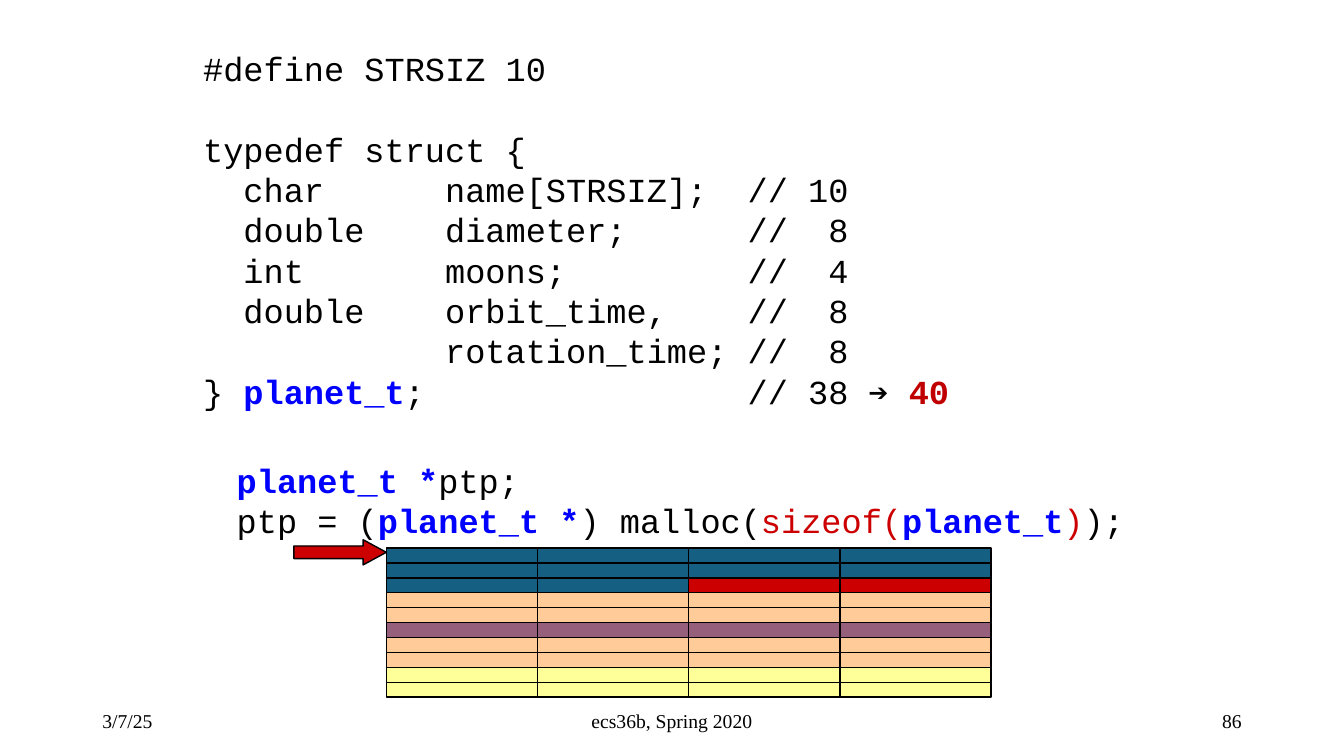
from pptx import Presentation
from pptx.dml.color import RGBColor
from pptx.enum.shapes import MSO_SHAPE
from pptx.enum.text import MSO_ANCHOR, PP_ALIGN
from pptx.util import Pt

PX = 9525
RECT, ARROW = MSO_SHAPE.RECTANGLE, MSO_SHAPE.RIGHT_ARROW
TOP, MIDDLE = MSO_ANCHOR.TOP, MSO_ANCHOR.MIDDLE
LEFT, CENTER, RIGHT = PP_ALIGN.LEFT, PP_ALIGN.CENTER, PP_ALIGN.RIGHT

BLACK = RGBColor(0x00, 0x00, 0x00)
BLUE = RGBColor(0x00, 0x00, 0xFF)
CRIMSON = RGBColor(0xC0, 0x00, 0x00)
RED = RGBColor(0xCC, 0x00, 0x00)
TEAL = RGBColor(0x15, 0x60, 0x82)
PEACH = RGBColor(0xFF, 0xCC, 0x99)
PLUM = RGBColor(0x96, 0x60, 0x7D)
YELLOW = RGBColor(0xFF, 0xFF, 0x99)

STRUCT = [
    ["#define STRSIZ 10"],
    ["typedef struct {"],
    ["  char      name[STRSIZ];  // 10"],
    ["  double    diameter;      //  8"],
    ["  int       moons;         //  4"],
    ["  double    orbit_time,    //  8"],
    ["            rotation_time; //  8"],
    ["} ", ("planet_t", BLUE, True), ";                // 38 ➔ ",
     ("40", CRIMSON, True)],
]
ALLOC = [
    [("planet_t *", BLUE, True), "ptp;"],
    ["ptp = (", ("planet_t *", BLUE, True), ") malloc(",
     ("sizeof(", RED, False), ("planet_t", BLUE, True),
     (")", RED, False), ");"],
]
FIELDS = [(TEAL, 10), (RED, 2), (PEACH, 8), (PLUM, 4), (PEACH, 8), (YELLOW, 8)]
COLS = 4


def add_text(slide, box, lines, font, size, wrap=True, anchor=TOP, align=LEFT):
    frame = slide.shapes.add_textbox(*[n * PX for n in box]).text_frame
    frame.word_wrap = wrap
    frame.vertical_anchor = anchor
    for i, line in enumerate(lines):
        para = frame.paragraphs[0] if i == 0 else frame.add_paragraph()
        para.alignment = align
        para.font.name = font
        para.font.size = Pt(size)
        for part in line:
            text, color, bold = (part, BLACK, False) if isinstance(part, str) else part
            run = para.add_run()
            run.text = text
            run.font.color.rgb = color
            run.font.bold = bold
    return frame


def add_block(slide, kind, box, color):
    shape = slide.shapes.add_shape(kind, *box)
    shape.shadow.inherit = False
    shape.fill.solid()
    shape.fill.fore_color.rgb = color
    shape.line.color.rgb = BLACK
    shape.line.width = Pt(1)
    return shape


def add_code(slide, box):
    left, top, width, height = box
    code = add_text(slide, (left, top, width, 397), STRUCT, "Courier New", 24)
    code.paragraphs[1].space_before = Pt(28.8)
    add_text(slide, (left + 32, top + 392, 871, height - 392), ALLOC,
             "Courier New", 24, wrap=False)


def add_memory(slide, box):
    left, top, width, height = [n * PX for n in box]
    cells = [color for color, count in FIELDS for _ in range(count)]
    wide, high = width // COLS, height * COLS // len(cells)
    for i, color in enumerate(cells):
        row, col = divmod(i, COLS)
        add_block(slide, RECT, (left + col * wide, top + row * high, wide, high), color)
    arrow = add_block(slide, ARROW,
                      (left - 88 * PX, top - 8 * PX, 88 * PX, 24 * PX), RED)
    arrow.adjustments[1] = 0.92


def add_footer(slide, box):
    left, top, width, height = box
    parts = [
        (left, 288, "3/7/25", LEFT),
        (left + (width - 432) // 2, 432, "ecs36b, Spring 2020", CENTER),
        (left + width - 288, 288, "86", RIGHT),
    ]
    for x, wide, text, align in parts:
        add_text(slide, (x, top, wide, height), [[text]], "Times New Roman", 14,
                 anchor=MIDDLE, align=align)


def main():
    deck = Presentation()
    deck.slide_width, deck.slide_height = 1280 * PX, 720 * PX
    slide = deck.slides.add_slide(deck.slide_layouts[6])
    add_footer(slide, (88, 667, 1104, 38))
    add_code(slide, (184, 41, 896, 479))
    add_memory(slide, (368, 522, 576, 142))
    deck.save("out.pptx")


if __name__ == "__main__":
    main()
